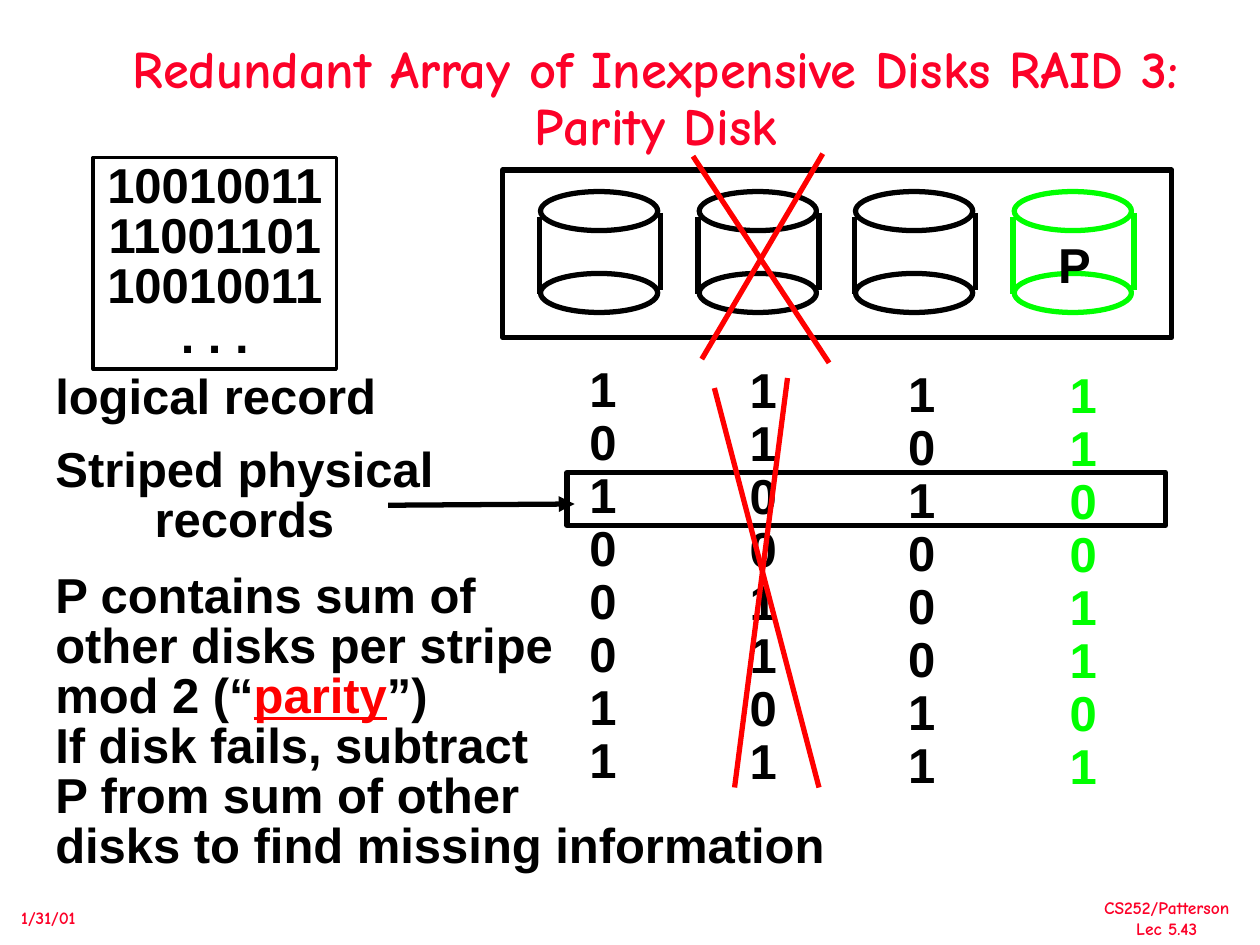
from typing import NamedTuple

from lxml.etree import SubElement as Sub
from pptx import Presentation
from pptx.dml.color import RGBColor
from pptx.enum.shapes import MSO_CONNECTOR as Link, MSO_SHAPE as Kind
from pptx.enum.text import MSO_ANCHOR as Anchor, MSO_AUTO_SIZE as Fit, PP_ALIGN as Align
from pptx.oxml.ns import qn
from pptx.util import Inches, Pt

BLACK, WHITE, GREEN, RED, ROSE = "000000", "FFFFFF", "00FF00", "FF0000", "FC0128"


class Box(NamedTuple):
    left: float
    top: float
    width: float
    height: float


class Run(NamedTuple):
    text: str
    color: str = BLACK
    under: bool = False


class Style(NamedTuple):
    font: str = "Arial"
    size: int = 28
    space: float = 0.85
    align: Align = Align.LEFT


class Disk(NamedTuple):
    left: float
    color: str
    bits: str
    bit_left: float
    bit_top: float


class Line(NamedTuple):
    x1: float
    y1: float
    x2: float
    y2: float


BODY = Style()
MID = Style(align=Align.CENTER)
BITS = Style(space=0.9)
HEAD = Style("Comic Neue", 30, 0.9, Align.CENTER)
NOTE = Style("Comic Neue", 10, 1.0)
NOTE_MID = NOTE._replace(align=Align.CENTER)

DISKS = [
    Disk(4.28, BLACK, "10100011", 4.58, 2.85),
    Disk(5.54, BLACK, "11001101", 5.85, 2.86),
    Disk(6.78, BLACK, "10100011", 7.11, 2.89),
    Disk(8.04, GREEN, "11001101", 8.39, 2.9),
]
CROSS = [
    Line(5.5, 1.24, 6.58, 2.88),
    Line(6.53, 1.22, 5.57, 2.85),
    Line(5.67, 3.08, 6.5, 6.25),
    Line(6.25, 3, 5.83, 6.25),
]
RULES = [
    [Run("P contains sum of")],
    [Run("other disks per stripe\nmod 2 (“"), Run("parity", RED, True), Run("”)")],
    [Run("If disk fails, subtract")],
    [Run("P from sum of other\ndisks to find missing information")],
]


def rgb(color: str) -> RGBColor:
    return RGBColor.from_string(color)


def rows(*texts: str, color: str = BLACK) -> list[list[Run]]:
    return [[Run(text, color)] for text in texts]


def write(frame, paras: list[list[Run]], style: Style) -> None:
    for i, runs in enumerate(paras):
        para = frame.paragraphs[0] if i == 0 else frame.add_paragraph()
        para.alignment = style.align
        para.line_spacing = style.space
        para.space_before = Pt(0)
        for run in runs:
            for j, text in enumerate(run.text.split("\n")):
                if j:
                    para.add_line_break()
                part = para.add_run()
                part.text = text
                font = part.font
                font.name, font.size, font.bold = style.font, Pt(style.size), True
                font.underline = run.under
                font.color.rgb = rgb(run.color)


def add_text(slide, box: Box, paras: list[list[Run]], style: Style = BODY) -> None:
    frame = slide.shapes.add_textbox(*map(Inches, box)).text_frame
    frame.word_wrap = False
    frame.auto_size = Fit.SHAPE_TO_FIT_TEXT
    write(frame, paras, style)


def add_form(slide, kind: Kind, box: Box, color: str = BLACK, fill: str = "", width: int = 3):
    form = slide.shapes.add_shape(kind, *map(Inches, box))
    form.shadow.inherit = False
    if fill:
        form.fill.solid()
        form.fill.fore_color.rgb = rgb(fill)
    else:
        form.fill.background()
    form.line.color.rgb = rgb(color)
    form.line.width = Pt(width)
    return form


def add_line(slide, line: Line, color: str = BLACK, arrow: bool = False) -> None:
    link = slide.shapes.add_connector(Link.STRAIGHT, *map(Inches, line))
    link.line.color.rgb = rgb(color)
    link.line.width = Pt(3)
    if arrow:
        Sub(link.line._get_or_add_ln(), qn("a:tailEnd"), type="triangle")
    Sub(link._element.spPr, qn("a:effectLst"))


def add_disk(slide, disk: Disk) -> None:
    for top in (2.17, 1.52):
        add_form(slide, Kind.OVAL, Box(disk.left + 0.01, top, 0.93, 0.31), disk.color, WHITE)
    for x, top in ((disk.left, 1.72), (disk.left + 0.96, 1.69)):
        add_line(slide, Line(x, top, x, top + 0.61), disk.color)


def main() -> None:
    deck = Presentation()
    deck.slide_width, deck.slide_height = Inches(10), Inches(7.5)
    slide = deck.slides.add_slide(deck.slide_layouts[5])

    title = slide.shapes.title
    title.left, title.top, title.width, title.height = map(Inches, Box(0.83, 0.17, 8.75, 1.25))
    frame = title.text_frame
    frame.word_wrap, frame.auto_size = True, Fit.NONE
    frame.vertical_anchor = Anchor.MIDDLE
    name = "Redundant Array of Inexpensive Disks RAID 3: Parity Disk"
    write(frame, rows(name, color=ROSE), HEAD)

    mark = rows("CS252/Patterson", "Lec 5.43", color=ROSE)
    add_text(slide, Box(8.66, 7.07, 1.2, 0.43), mark, NOTE_MID)
    add_text(slide, Box(0.07, 7.15, 0.63, 0.27), rows("1/31/01", color=ROSE), NOTE)

    for disk in DISKS:
        add_disk(slide, disk)
    add_form(slide, Kind.RECTANGLE, Box(3.99, 1.35, 5.31, 1.33))
    add_text(slide, Box(8.3, 1.88, 0.46, 0.49), rows("P"))

    card = add_form(slide, Kind.RECTANGLE, Box(0.74, 1.25, 1.93, 1.68), BLACK, WHITE, 2)
    frame = card.text_frame
    frame.word_wrap = False
    frame.vertical_anchor = Anchor.MIDDLE
    write(frame, rows("10010011", "11001101", "10010011", ". . ."), MID)
    add_text(slide, Box(0.34, 2.92, 2.75, 0.49), rows("logical record"))

    for disk in DISKS:
        box = Box(disk.bit_left, disk.bit_top, 0.41, 3.46)
        add_text(slide, box, rows(*disk.bits, color=disk.color), BITS)

    add_text(slide, Box(0.34, 4.5, 6.31, 2.48), RULES)
    add_line(slide, Line(3.08, 4.01, 4.56, 4), arrow=True)
    add_text(slide, Box(0.34, 3.5, 3.2, 0.89), rows("Striped physical", "records"), MID)
    add_form(slide, Kind.RECTANGLE, Box(4.5, 3.75, 4.75, 0.42))
    for line in CROSS:
        add_line(slide, line, RED)

    deck.save("out.pptx")


if __name__ == "__main__":
    main()
